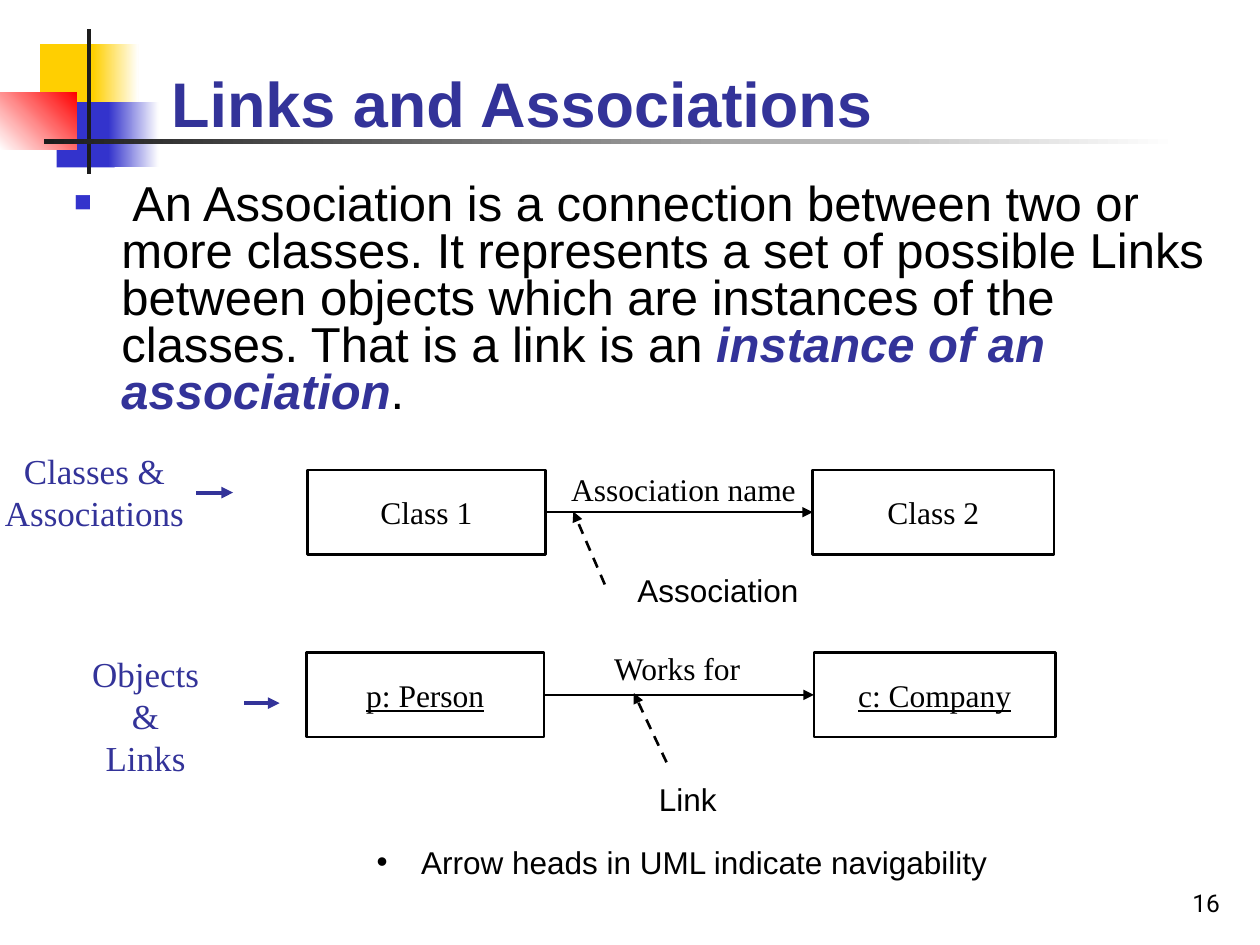
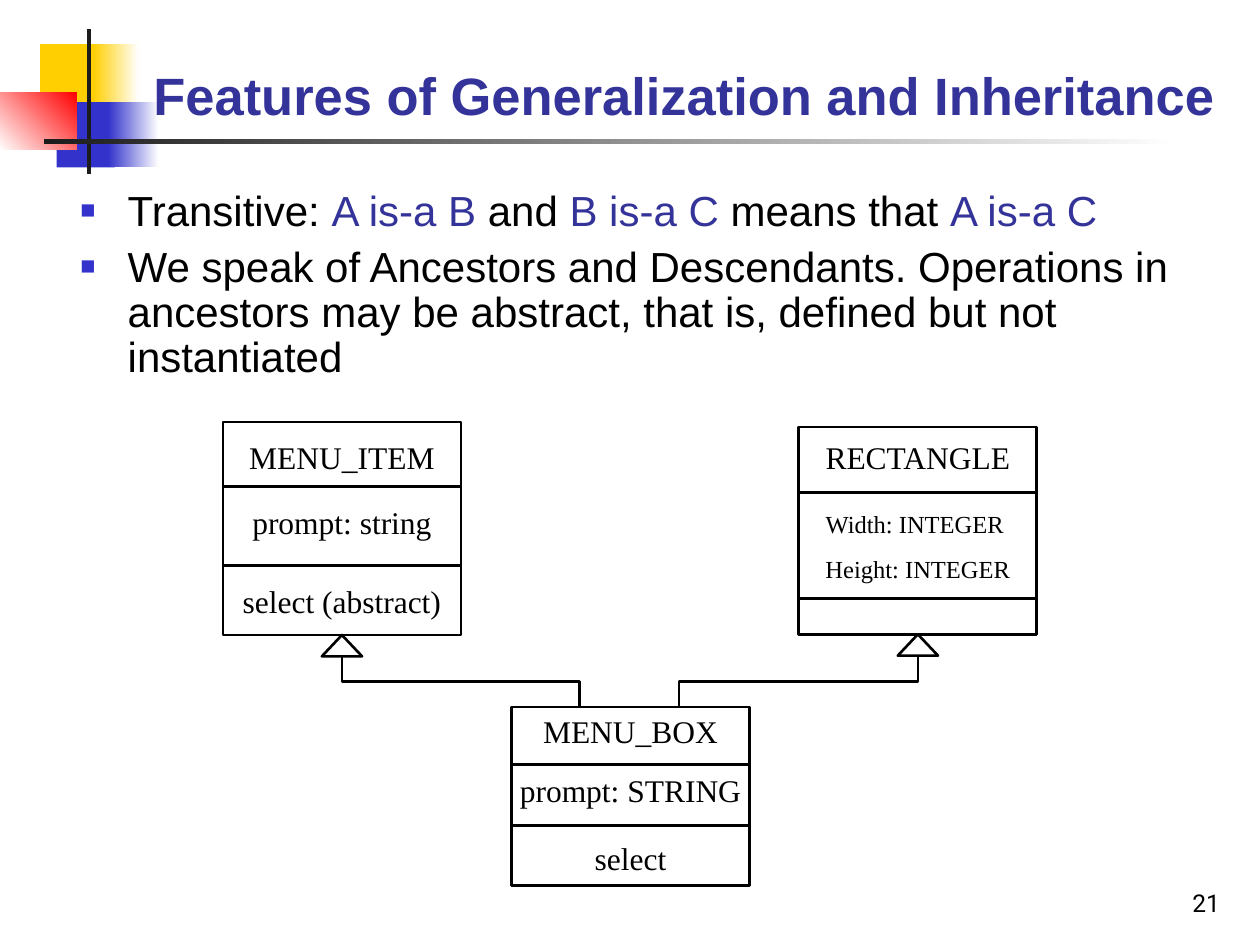
import lxml.etree
import pptx
import pptx.dml.color
import pptx.enum.dml
import pptx.enum.shapes
import pptx.enum.text
import pptx.oxml.ns
import pptx.util

Pt = pptx.util.Pt
qn = pptx.oxml.ns.qn
Shape = pptx.enum.shapes.MSO_SHAPE
Link = pptx.enum.shapes.MSO_CONNECTOR
Align = pptx.enum.text.PP_ALIGN
Anchor = pptx.enum.text.MSO_ANCHOR
Dash = pptx.enum.dml.MSO_LINE


class Theme:
    ink, navy, blue = "000000", "333399", "3333CC"
    gold, red, dark, white = "FFCF01", "FF0000", "1C1C1C", "FFFFFF"
    sans, serif, digit = "Arial", "Times New Roman", "Roboto"
    text, side, small, page = 18, 20, 14, 14
    thin, thick = 1.5, 2.25


# Shared corner: box, first colour, last colour, angle
bands = [
    ((23, 25.2, 34.6, 37.4), Theme.gold, None, 0),
    ((53.3, 25.2, 25.9, 37.4), Theme.gold, Theme.white, 0),
    ((32.4, 58.3, 33.1, 37.4), Theme.blue, None, 0),
    ((61.9, 58.3, 28.8, 37.4), Theme.blue, Theme.white, 0),
    ((0, 52.6, 43.9, 33.1), Theme.white, Theme.red, 45),
    ((49.8, 16.6, 2.2, 82.8), Theme.dark, None, 0),
    ((25.2, 79.2, 648, 2.9), Theme.dark, Theme.white, 0),
]

# Slide content
blue = {"color": Theme.navy}
strong = {"color": Theme.navy, "bold": True, "italic": True}

links = {
    "title": "Links and Associations", "size": 36, "page": "16",
    "head": (90.7, 41, 613.4, 42.5),
    "body": (35.3, 101.5, 668.9, 152), "type": 28, "lead": 0.8, "gap": 7,
    "points": [[
        (" An Association is a connection between two or more classes. It "
         "represents a set of possible Links between objects which are "
         "instances of the classes. That is a link is an ", {}),
        ("instance of an association", strong), (".", {})]],
}
traits = {
    "title": "Features of Generalization and Inheritance", "size": 30, "page": "21",
    "head": (80.6, 23, 626.4, 52.6),
    "body": (38.9, 105.1, 652.3, 118), "type": 24, "lead": 0.9, "gap": 6,
    "points": [
        [("Transitive: ", {}), ("A is-a B", blue), (" and ", {}),
         ("B is-a C", blue), (" means that ", {}), ("A is-a C", blue)],
        [("We speak of Ancestors and Descendants. Operations in ancestors may "
          "be abstract, that is, defined but not instantiated", {})]],
}

# Each row: two boxes, their link, a dashed pointer and a side label
rows = [
    {"top": 268.6, "ends": [("Class 1", 175.7), ("Class 2", 464.4)], "under": False,
     "name": ("Association name", 316.8, 265, 147.6),
     "note": ("Association", 357.1, 322.6, 107.3),
     "point": (345.6, 334, 327.6, 292.3),
     "side": ("Classes &\nAssociations", -4.3, 253.4, 116.6),
     "arrow": (112.3, 281.5, 133.2, 281.5)},
    {"top": 373, "ends": [("p: Person", 175), ("c: Company", 465.1)], "under": True,
     "name": ("Works for", 324, 367.2, 126),
     "note": ("Link", 369.4, 442.1, 52),
     "point": (380.9, 435.6, 362.2, 396),
     "side": ("Objects &\nLinks", 35.3, 369.4, 95.8),
     "arrow": (139.7, 401.8, 159.8, 401.8)},
]
remark = "Arrow heads in UML indicate navigability"
sizes = {"wide": (136, 138), "tall": 48.2}

# Class boxes: left, top, height, divider heights, (lines, top, size)
width = 136
classes = {
    "item": (127.4, 241.2, 121.7, (277.9, 323.3),
             [(["MENU_ITEM"], 247, Theme.text),
              (["prompt: string"], 283.7, Theme.text),
              (["select (abstract)"], 329, Theme.text)]),
    "rect": (456.5, 244.1, 118.4, (281.5, 342),
             [(["RECTANGLE"], 247, Theme.text),
              (["Width: INTEGER ", "Height: INTEGER"], 287.3, Theme.small)]),
    "box": (292.3, 403.9, 102.2, (437, 471.6),
            [(["MENU_BOX"], 403.2, Theme.text),
             (["prompt: STRING"], 437, Theme.text),
             (["select"], 475.9, Theme.text)]),
}
parents = [("item", 331.2), ("rect", 388.1)]
tip = {"wide": 23, "tall": 12.2}


def tint(code):
    return pptx.dml.color.RGBColor.from_string(code)


def assign(thing, values):
    for key, value in values.items():
        setattr(thing, key, value)


def style(run, look):
    look = dict(look)
    run.font.color.rgb = tint(look.pop("color", Theme.ink))
    assign(run.font, look)


def bullet(para, mark, color, indent, scale=None):
    props = para._p.get_or_add_pPr()
    props.set("marL", str(Pt(indent)))
    props.set("indent", str(-Pt(indent)))
    node = lxml.etree.SubElement(props, qn("a:buClr"))
    lxml.etree.SubElement(node, qn("a:srgbClr")).set("val", color)
    if scale:
        lxml.etree.SubElement(props, qn("a:buSzPct")).set("val", str(scale * 1000))
    lxml.etree.SubElement(props, qn("a:buFont")).set("typeface", Theme.sans)
    lxml.etree.SubElement(props, qn("a:buChar")).set("char", mark)


def write(frame, paras, look, form=None, gap=0, mark=None):
    """Fill a frame; each paragraph is a list of (text, look) runs."""
    frame.word_wrap = True
    for n, runs in enumerate(paras):
        para = frame.add_paragraph() if n else frame.paragraphs[0]
        if mark:
            bullet(para, *mark)
        assign(para, form or {})
        if n:
            para.space_before = Pt(gap)
        for text, extra in runs:
            for k, piece in enumerate(text.split("\n")):
                if k:
                    para.add_line_break()
                run = para.add_run()
                run.text = piece
                style(run, {**look, **extra})


def label(slide, box, lines, size=Theme.text, font=Theme.serif, color=Theme.ink,
          align=Align.CENTER, bold=False, anchor=Anchor.TOP, **more):
    frame = slide.shapes.add_textbox(*map(Pt, box)).text_frame
    frame.vertical_anchor = anchor
    look = {"size": Pt(size), "name": font, "color": color, "bold": bold}
    write(frame, [[(line, {})] for line in lines], look, {"alignment": align}, **more)


def outline(slide, kind, box):
    shape = slide.shapes.add_shape(kind, *map(Pt, box))
    shape.shadow.inherit = False
    shape.fill.background()
    shape.line.color.rgb = tint(Theme.ink)
    shape.line.width = Pt(Theme.thin)
    return shape


def stroke(slide, ends, color=Theme.ink, weight=Theme.thin, dash=None, head=False,
           kind=Link.STRAIGHT):
    line = slide.shapes.add_connector(kind, *map(Pt, ends))
    line.line.color.rgb = tint(color)
    line.line.width = Pt(weight)
    if dash:
        line.line.dash_style = dash
    props = line._element.spPr
    if head:
        node = lxml.etree.SubElement(props.find(qn("a:ln")), qn("a:tailEnd"))
        node.set("type", "triangle")
    lxml.etree.SubElement(props, qn("a:effectLst"))
    return line


def elbow(slide, x, y, right, low):
    """Run down, across and down again: a turned elbow about its centre."""
    mid, half = (x + right) / 2, (low - y) / 2
    level, reach = (y + low) / 2, abs(right - x) / 2
    turn, side = (270, 1) if right > x else (90, -1)
    line = stroke(slide, (mid + side * half, level - reach,
                          mid - side * half, level + reach), kind=Link.ELBOW)
    line._element.spPr.find(qn("a:xfrm")).set("rot", str(turn * 60000))


def start(deck, data):
    """Add a slide with corner bands, page number, title and bullets."""
    slide = deck.slides.add_slide(deck.slide_layouts[6])
    for box, first, last, angle in bands:
        band = slide.shapes.add_shape(Shape.RECTANGLE, *map(Pt, box))
        band.shadow.inherit = False
        band.line.fill.background()
        if last:
            band.fill.gradient()
            band.fill.gradient_angle = angle
            for stop, color, place in zip(band.fill.gradient_stops, (first, last), (0, 1)):
                stop.color.rgb = tint(color)
                stop.position = place
        else:
            band.fill.solid()
            band.fill.fore_color.rgb = tint(first)
    label(slide, (554.4, 491.8, 149.8, 36), [data["page"]], Theme.page, Theme.digit,
          align=Align.RIGHT, anchor=Anchor.BOTTOM)
    label(slide, data["head"], [data["title"]], data["size"], Theme.sans, Theme.navy,
          Align.LEFT, True, Anchor.BOTTOM)
    frame = slide.shapes.add_textbox(*map(Pt, data["body"])).text_frame
    write(frame, data["points"], {"size": Pt(data["type"]), "name": Theme.sans},
          {"line_spacing": data["lead"]}, data["gap"], ("■", Theme.blue, 27, 60))
    return slide


def relate(slide):
    """Draw the class row and the object row."""
    tall = sizes["tall"]
    for row in rows:
        for (name, left), wide in zip(row["ends"], sizes["wide"]):
            shape = outline(slide, Shape.RECTANGLE, (left, row["top"], wide, tall))
            shape.text_frame.vertical_anchor = Anchor.MIDDLE
            look = {"size": Pt(Theme.text), "name": Theme.serif, "underline": row["under"]}
            write(shape.text_frame, [[(name, {})]], look, {"alignment": Align.CENTER})
        level = row["top"] + tall / 2
        stroke(slide, (row["ends"][0][1] + sizes["wide"][0], level,
                       row["ends"][1][1], level), head=True)
        stroke(slide, row["point"], dash=Dash.DASH, head=True)
        stroke(slide, row["arrow"], Theme.navy, Theme.thick, head=True)
        for key, high, look in (
                ("name", 28.8, {}),
                ("note", 28.8, {"font": Theme.sans, "align": Align.LEFT}),
                ("side", 55.4, {"size": Theme.side, "color": Theme.navy})):
            text, left, top, wide = row[key]
            label(slide, (left, top, wide, high), [text], **look)
    label(slide, (208.1, 478.1, 385.9, 28.8), [remark], font=Theme.sans,
          align=Align.LEFT, mark=("•", Theme.ink, 25.5))


def inherit(slide):
    """Draw the three classes and the arrows to both parents."""
    for left, top, high, cuts, parts in classes.values():
        outline(slide, Shape.RECTANGLE, (left, top, width, high))
        for cut in cuts:
            stroke(slide, (left, cut, left + width, cut))
        for lines, level, size in parts:
            label(slide, (left - 6, level, width + 12, 28.8 * len(lines)), lines,
                  size, gap=8.8)
    for key, foot in parents:
        left, top, high = classes[key][:3]
        mid, base = left + width / 2, top + high
        outline(slide, Shape.ISOSCELES_TRIANGLE,
                (mid - tip["wide"] / 2, base, tip["wide"], tip["tall"]))
        elbow(slide, mid, base + tip["tall"], foot, classes["box"][1])


def main():
    deck = pptx.Presentation()
    assign(deck, {"slide_width": Pt(720), "slide_height": Pt(540)})
    relate(start(deck, links))
    inherit(start(deck, traits))
    deck.save("out.pptx")


if __name__ == "__main__":
    main()
